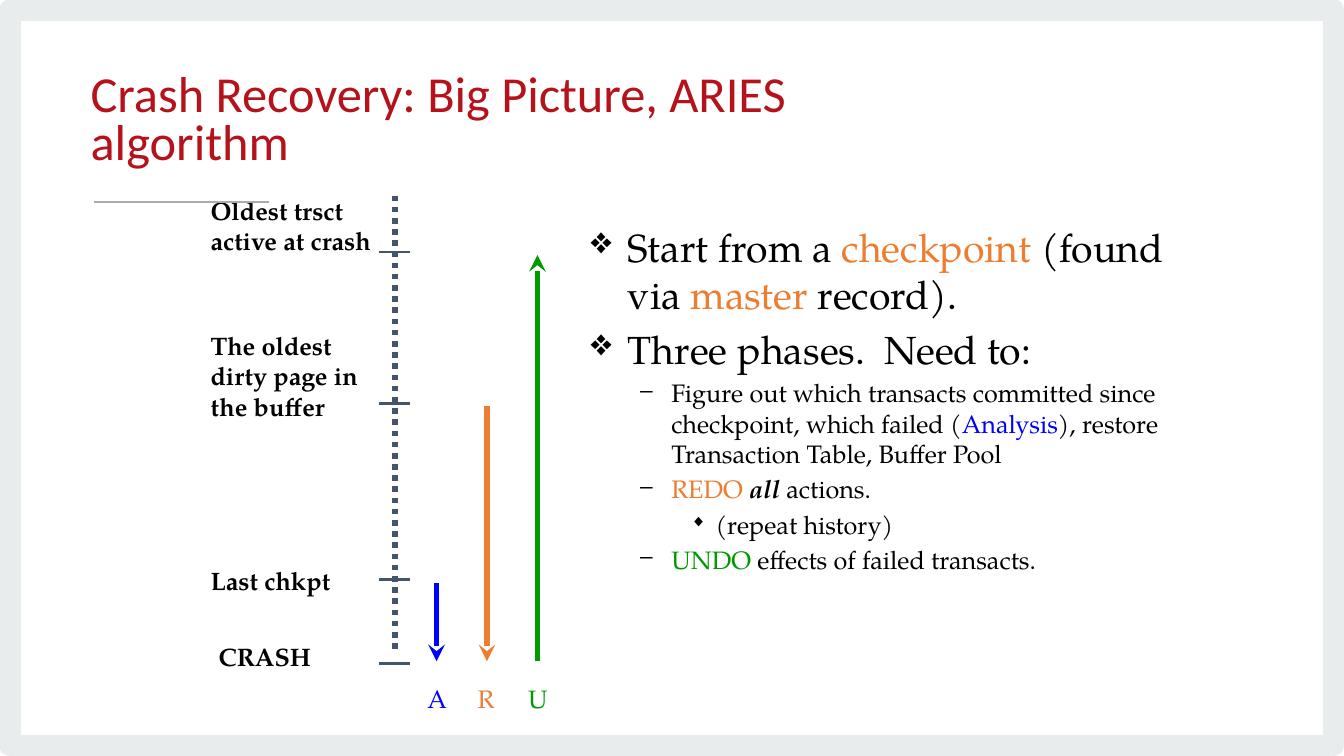
from dataclasses import dataclass

from lxml import etree
from pptx import Presentation
from pptx.dml.color import RGBColor
from pptx.enum.dml import MSO_LINE
from pptx.enum.shapes import MSO_CONNECTOR, MSO_SHAPE
from pptx.enum.text import MSO_ANCHOR
from pptx.oxml.ns import qn
from pptx.util import Inches, Pt

STRAIGHT = MSO_CONNECTOR.STRAIGHT
RECT = MSO_SHAPE.RECTANGLE
DOTS = MSO_LINE.ROUND_DOT
MIDDLE = MSO_ANCHOR.MIDDLE
TOP = MSO_ANCHOR.TOP


@dataclass(frozen=True)
class Theme:
    head: str = "Calibri"
    body: str = "TeX Gyre Pagella"
    title: str = "B5121B"
    ink: str = "000000"
    frame: str = "E9ECED"
    rule: str = "A6ADB1"
    axis: str = "44546A"
    blue: str = "0000FF"
    orange: str = "ED7D31"
    green: str = "009900"
    huge: float = 36
    large: float = 28
    small: float = 18


THEME = Theme()

# Level: left margin, hanging indent, bullet, bullet size in percent, type size
LEVELS = [
    (0.38, 0.38, "❖", 75, THEME.large),
    (0.81, 0.31, "–", 100, THEME.small),
    (1.25, 0.25, "◆", 65, THEME.small),
]

# Point: level, then runs of text, colour and emphasis
POINTS = [
    (0, [("Start from a ", THEME.ink), ("checkpoint", THEME.orange),
         (" (found via ", THEME.ink), ("master", THEME.orange),
         (" record).", THEME.ink)]),
    (0, [("Three phases.  Need to:", THEME.ink)]),
    (1, [("Figure out which transacts committed since checkpoint, "
          "which failed (", THEME.ink), ("Analysis", THEME.blue),
         ("), restore Transaction Table, Buffer Pool", THEME.ink)]),
    (1, [("REDO ", THEME.orange), ("all", THEME.ink, True, True),
         (" actions.", THEME.ink)]),
    (2, [("(repeat history)", THEME.ink)]),
    (1, [("UNDO", THEME.green), (" effects of failed transacts.", THEME.ink)]),
]

# Event: text, tick height, label left, label top, label height
EVENTS = [
    ("Oldest trsct active at crash", 0.61, 0, 0, 0.7),
    ("The oldest dirty page in the buffer", 2.11, 0, 1.34, 1.01),
    ("Last chkpt", 3.86, 0, 3.67, 0.41),
    ("CRASH", 4.69, 0.08, 4.42, 0.41),
]

# Phase: letter, colour, arrow start, arrow end
PHASES = [
    ("A", THEME.blue, 3.89, 4.67),
    ("R", THEME.orange, 2.14, 4.67),
    ("U", THEME.green, 4.67, 0.64),
]


def add_run(para, text, color, size, font, bold=False, italic=False):
    run = para.add_run()
    run.text = text
    face = run.font
    face.name, face.size = font, Pt(size)
    face.bold, face.italic = bold, italic
    face.color.rgb = RGBColor.from_string(color)


def add_text(slide, box, wrap=True, anchor=TOP):
    frame = slide.shapes.add_textbox(*map(Inches, box)).text_frame
    frame.word_wrap = wrap
    frame.vertical_anchor = anchor
    return frame


def add_line(slide, start, end, color, width, dash=None, arrow=False):
    line = slide.shapes.add_connector(STRAIGHT, *map(Inches, start + end))
    line.line.color.rgb = RGBColor.from_string(color)
    line.line.width = Pt(width)
    if dash is not None:
        line.line.dash_style = dash
    props = line._element.spPr
    if arrow:
        etree.SubElement(props.find(qn("a:ln")), qn("a:tailEnd"), type="stealth")
    etree.SubElement(props, qn("a:effectLst"))


def set_bullet(para, level):
    left, hang, mark, scale, _ = LEVELS[level]
    para.level = level
    props = para._p.get_or_add_pPr()
    props.set("marL", str(Inches(left)))
    props.set("indent", str(-Inches(hang)))
    space = etree.SubElement(props, qn("a:spcBef"))
    etree.SubElement(space, qn("a:spcPct"), val="20000")
    tint = etree.SubElement(props, qn("a:buClr"))
    etree.SubElement(tint, qn("a:srgbClr"), val=THEME.ink)
    etree.SubElement(props, qn("a:buSzPct"), val=str(scale * 1000))
    etree.SubElement(props, qn("a:buFont"), typeface=THEME.body)
    etree.SubElement(props, qn("a:buChar"), char=mark)


def draw_frame(slide, box):
    border = slide.shapes.add_shape(RECT, *map(Inches, box))
    border.shadow.inherit = False
    border.fill.background()
    border.line.color.rgb = RGBColor.from_string(THEME.frame)
    border.line.width = Pt(15.11)


def draw_title(slide, box):
    left, top = box[:2]
    # Short rule below the heading
    add_line(slide, (left + 0.13, top + 1.42), (left + 1.87, top + 1.42),
             THEME.rule, 1.33)
    para = add_text(slide, box, anchor=MIDDLE).paragraphs[0]
    para.line_spacing = Pt(34.7)
    para.space_before = Pt(7.5)
    add_run(para, "Crash Recovery: Big Picture, ARIES algorithm",
            THEME.title, THEME.huge, THEME.head)


def draw_log(slide, box):
    left, top, _, height = box
    axis = left + 1.93
    # Log axis
    add_line(slide, (axis, top + 0.05), (axis, top + 4.58), THEME.axis, 4, DOTS)
    # Events with their ticks
    for text, tick, shift, drop, tall in EVENTS:
        frame = add_text(slide, (left + shift, top + drop, 1.84, tall))
        add_run(frame.paragraphs[0], text, THEME.ink, THEME.small,
                THEME.body, bold=True)
        add_line(slide, (axis - 0.16, top + tick), (axis + 0.15, top + tick),
                 THEME.axis, 2)
    # Phase arrows with their letters
    for i, (text, color, start, end) in enumerate(PHASES):
        x = axis + 0.41 + 0.5 * i
        add_line(slide, (x, top + start), (x, top + end), color, 4, arrow=True)
        frame = add_text(slide, (x - 0.19, top + height - 0.4, 0.4, 0.4),
                         wrap=False)
        add_run(frame.paragraphs[0], text, color, THEME.small, THEME.body)


def draw_points(slide, box):
    frame = add_text(slide, box)
    for i, (level, runs) in enumerate(POINTS):
        para = frame.add_paragraph() if i else frame.paragraphs[0]
        set_bullet(para, level)
        for text, color, *style in runs:
            add_run(para, text, color, LEVELS[level][-1], THEME.body, *style)


def main():
    deck = Presentation()
    deck.slide_width, deck.slide_height = Inches(13.33), Inches(7.5)
    slide = deck.slides.add_slide(deck.slide_layouts[6])
    draw_frame(slide, (0.1, 0.1, 13.13, 7.3))
    draw_points(slide, (5.75, 2.17, 5.92, 4.46))
    draw_log(slide, (1.99, 1.89, 3.55, 5.24))
    draw_title(slide, (0.8, 0.58, 8.28, 1.27))
    deck.save("out.pptx")


if __name__ == "__main__":
    main()
